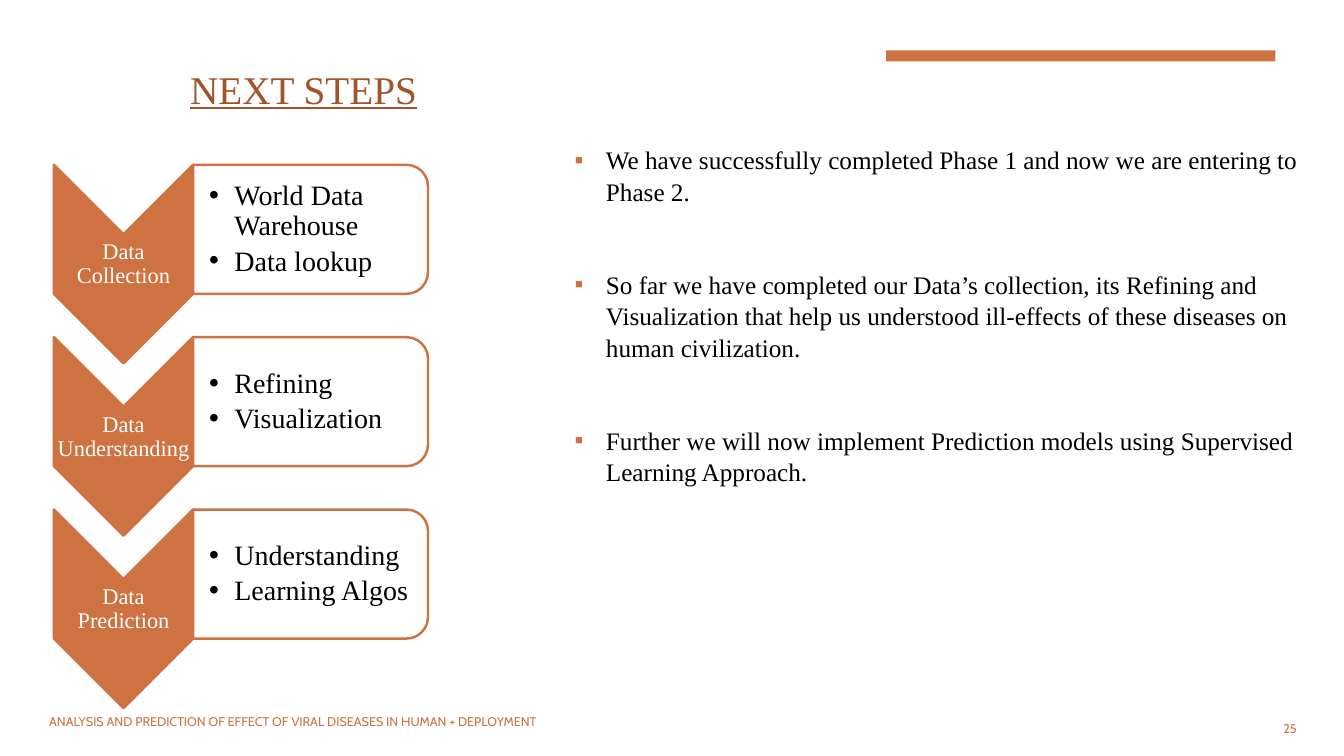
from lxml.etree import SubElement
from pptx import Presentation
from pptx.dml.color import RGBColor
from pptx.enum.shapes import MSO_SHAPE as Preset
from pptx.enum.text import MSO_ANCHOR as Anchor, MSO_AUTO_SIZE as AutoSize, PP_ALIGN as Align
from pptx.oxml.ns import qn
from pptx.util import Inches, Pt

ORANGE = RGBColor(0xCE, 0x72, 0x42)
RUST = RGBColor(0xA2, 0x53, 0x2A)
WHITE = RGBColor(0xFF, 0xFF, 0xFF)
BLACK = RGBColor(0x00, 0x00, 0x00)

SERIF = "Times New Roman"
SANS = "Cabin"

STEPS = [
    ("Data Collection", ["World Data Warehouse", "Data lookup"]),
    ("Data Understanding", ["Refining", "Visualization"]),
    ("Data Prediction", ["Understanding", "Learning Algos"]),
]
STATUS = [
    "We have successfully completed Phase 1 and now we are entering to Phase 2.",
    "So far we have completed our Data’s collection, its Refining and Visualization "
    "that help us understood ill-effects of these diseases on human civilization.",
    "Further we will now implement Prediction models using Supervised Learning Approach.",
]
FOOTER = "ANALYSIS AND PREDICTION OF EFFECT OF VIRAL DISEASES IN HUMAN + DEPLOYMENT"


class SlideBuilder:
    """Draws styled elements on a slide grid of 160 columns by 90 square rows."""

    def __init__(self, presentation):
        self.cell = presentation.slide_height / 90
        self.slide = presentation.slides.add_slide(presentation.slide_layouts[1])

    def grid(self, *cells):
        return [round(count * self.cell) for count in cells]

    def shape(self, preset, box, fill, outline=None):
        shape = self.slide.shapes.add_shape(preset, *self.grid(*box))
        shape.shadow.inherit = False
        shape.fill.solid()
        shape.fill.fore_color.rgb = fill
        if outline is None:
            shape.line.fill.background()
        else:
            shape.line.color.rgb = outline
            shape.line.width = Pt(1.75)
        return shape

    def turned_shape(self, preset, box, fill):
        left, top, width, height = box
        shift = (width - height) / 2
        unturned = (left + shift, top - shift, height, width)
        self.shape(preset, unturned, fill, ORANGE).rotation = 90

    def bullet(self, paragraph, character, color, indent):
        properties = paragraph._p.get_or_add_pPr()
        properties.set("marL", str(Inches(indent)))
        properties.set("indent", str(-Inches(indent)))
        bullet_color = SubElement(properties, qn("a:buClr"))
        SubElement(bullet_color, qn("a:srgbClr"), val=str(color))
        SubElement(properties, qn("a:buFont"), typeface="Arial")
        SubElement(properties, qn("a:buChar"), char=character)

    def fill_text(self, shape, box, lines, size, color, font=SERIF, align=Align.LEFT,
                  anchor=Anchor.MIDDLE, insets=None, spacing=1.0, gap=0, bullet=None,
                  underline=None):
        shape.left, shape.top, shape.width, shape.height = self.grid(*box)
        frame = shape.text_frame
        frame.word_wrap = True
        frame.auto_size = AutoSize.NONE
        frame.vertical_anchor = anchor
        if insets:
            (frame.margin_left, frame.margin_top,
             frame.margin_right, frame.margin_bottom) = map(Inches, insets)
        frame.text = "\n".join(lines)
        for index, paragraph in enumerate(frame.paragraphs):
            if bullet:
                self.bullet(paragraph, *bullet)
            paragraph.alignment = align
            paragraph.line_spacing = spacing
            paragraph.space_before = Pt(gap if index else 0)
            paragraph.font.name = font
            paragraph.font.size = Pt(size)
            paragraph.font.color.rgb = color
            paragraph.font.underline = underline

    def text(self, box, lines, size, color, **style):
        shape = self.slide.shapes.add_textbox(*self.grid(*box))
        self.fill_text(shape, box, lines, size, color, **style)

    def title(self, box, text):
        self.fill_text(self.slide.shapes.title, box, [text], 28, RUST, align=Align.CENTER,
                       anchor=Anchor.BOTTOM, underline=True)

    def body(self, box, lines):
        self.fill_text(self.slide.placeholders[1], box, lines, 18, BLACK, anchor=Anchor.TOP,
                       spacing=1.05, gap=43.4, bullet=("▪", ORANGE, 0.31))

    def step(self, top, label, items):
        self.turned_shape(Preset.CHEVRON, (6.42, top, 16.56, 23.64), ORANGE)
        self.text((6.42, top + 8.34, 16.56, 7.08), [label], 16, WHITE, align=Align.CENTER,
                  insets=(0.01, 0.01, 0.01, 0.01), spacing=0.9)
        self.turned_shape(Preset.ROUND_2_SAME_RECTANGLE, (22.98, top, 27.96, 15.36), WHITE)
        self.text((22.98, top + 0.78, 27.24, 13.8), items, 20, BLACK,
                  insets=(0.16, 0.01, 0.01, 0.01), spacing=0.9, gap=3.5,
                  bullet=("•", BLACK, 0.25))


def main():
    presentation = Presentation()
    presentation.slide_width = Inches(13.33)
    presentation.slide_height = Inches(7.5)
    builder = SlideBuilder(presentation)

    builder.shape(Preset.RECTANGLE, (105.48, 6, 46.32, 1.32), ORANGE)
    builder.title((6.48, 5.64, 59.28, 8.28), "NEXT STEPS")
    for index, (label, items) in enumerate(STEPS):
        builder.step(19.62 + index * 20.52, label, items)
    builder.body((67.2, 16.44, 89.52, 41.16), STATUS)
    builder.text((141.72, 84.36, 13.8, 4.8), ["25"], 9, ORANGE, font=SANS, align=Align.RIGHT)
    builder.text((4.68, 84.36, 89.52, 4.8), [FOOTER], 9, ORANGE, font=SANS, anchor=Anchor.TOP)

    presentation.save("out.pptx")


if __name__ == "__main__":
    main()
